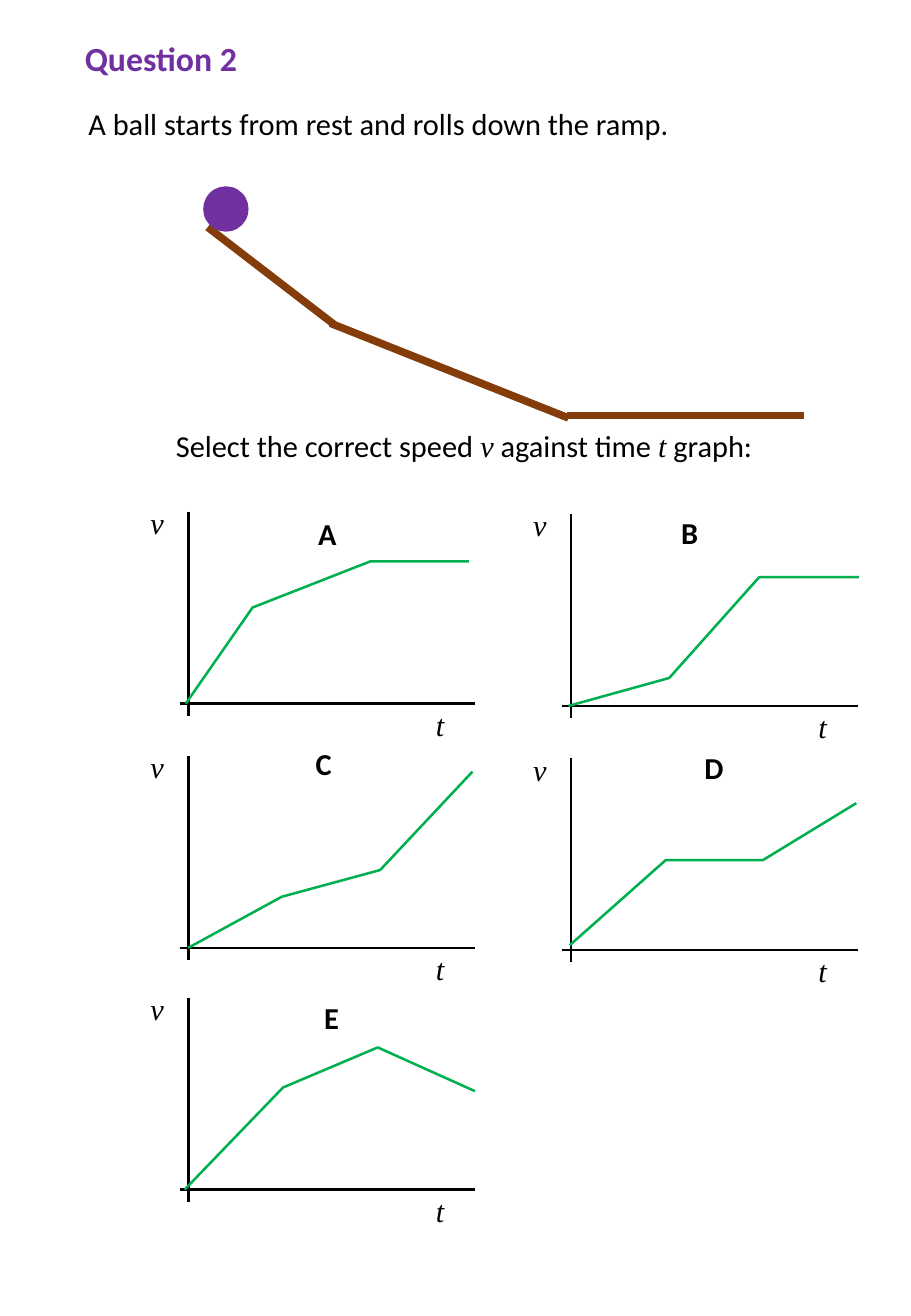
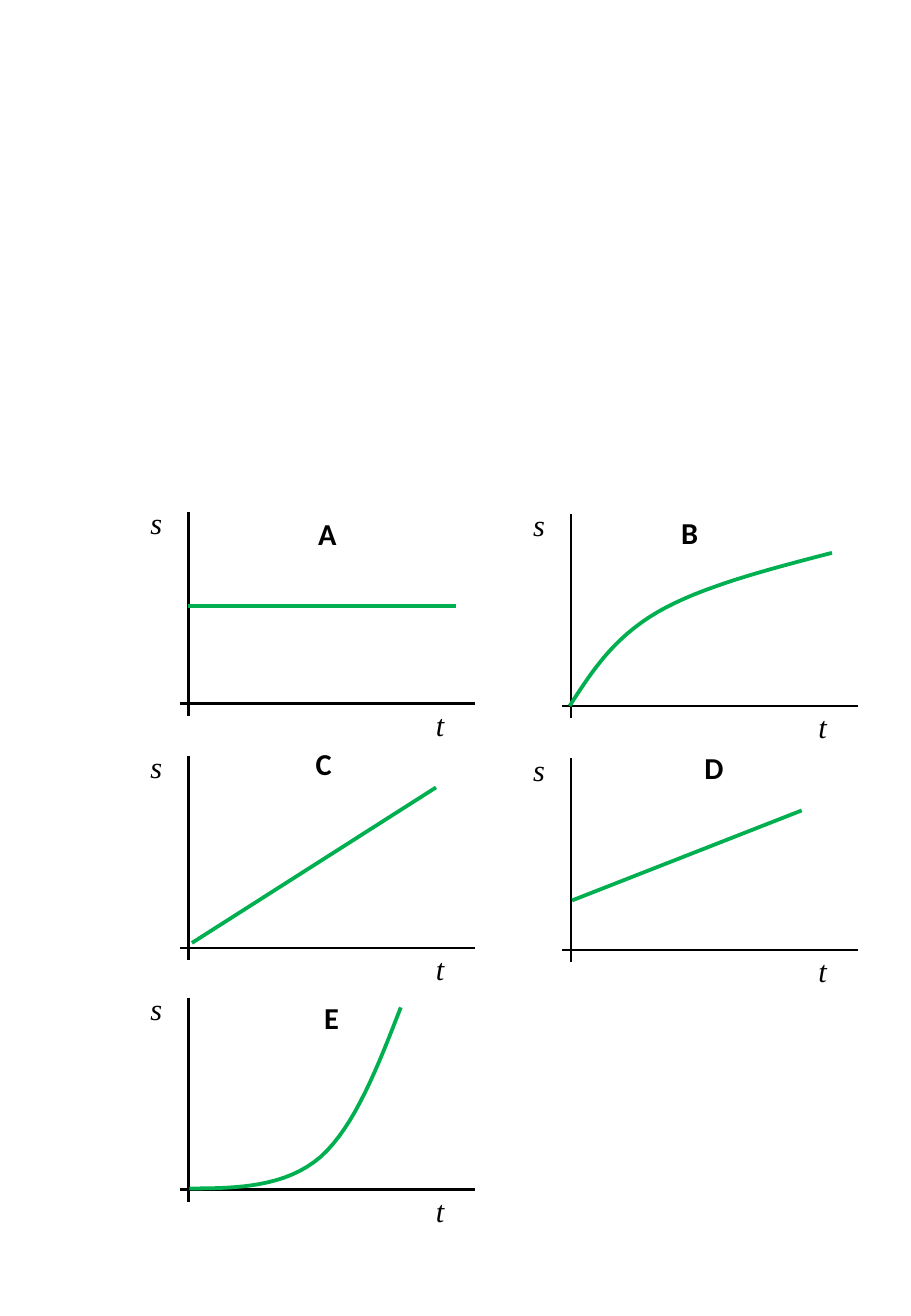
from pptx import Presentation
from pptx import util as u
from pptx.dml.color import RGBColor
from pptx.enum import shapes, text
from pptx.oxml.ns import qn

PX = 9144  # one hundredth of an inch
BLACK, PURPLE, BROWN, GREEN = "000000", "7030A0", "843C0B", "00B050"
SANS, SERIF = "Calibri", "Times New Roman"

# Axis origin of each graph, and its letter's offset from that origin
CELLS = {
    "A": ((155, 579), (97, -160)),
    "B": ((470, 581), (81, -163)),
    "C": ((155, 780), (95, -172)),
    "D": ((470, 782), (100, -170)),
    "E": ((155, 979), (102, -162)),
}
# Points are offsets from the axis origin
SPEED = {
    "A": [(-2, 0), (53, -79), (150, -117), (231, -117)],
    "B": [(-2, 0), (81, -23), (155, -106), (237, -106)],
    "C": [(0, 0), (77, -42), (158, -64), (234, -145)],
    "D": [(-1, -4), (78, -74), (158, -74), (235, -121)],
    "E": [(-3, 0), (78, -84), (156, -117), (236, -81)],
}


def bend(pts, steps=16):
    """Sample a chain of cubic Bezier curves."""
    out = [pts[0]]
    for i in range(0, len(pts) - 1, 3):
        for n in range(1, steps + 1):
            t = n / steps
            w = ((1 - t) ** 3, 3 * t * (1 - t) ** 2, 3 * t * t * (1 - t), t ** 3)
            out.append(tuple(sum(k * p[axis] for k, p in zip(w, pts[i:i + 4]))
                             for axis in (0, 1)))
    return out


PLACE = {
    "A": [(0, -80), (220, -80)],
    "B": bend([(-1, 0), (17, -28), (35, -56), (71, -77),
               (107, -98), (161, -112), (215, -126)]),
    "C": [(3, -4), (204, -132)],
    "D": [(1, -41), (190, -115)],
    "E": bend([(1, -1), (40, -1), (80, -2), (109, -27),
               (137, -52), (156, -101), (175, -150)]),
}


def rgb(code):
    return RGBColor.from_string(code)


def px(*vals):
    return [u.Emu(round(v * PX)) for v in vals]


def pen(shape, color, width):
    shape.line.color.rgb = rgb(color)
    shape.line.width = u.Pt(width)


def line(slide, start, end, color=BLACK, width=1.5):
    link = slide.shapes.add_connector(
        shapes.MSO_CONNECTOR.STRAIGHT, *px(*start, *end))
    pen(link, color, width)
    props = link._element.spPr
    props.append(props.makeelement(qn("a:effectLst"), {}))


def trace(slide, pts, color, width):
    """Draw a connector for two points, an open outline for more."""
    if len(pts) == 2:
        line(slide, *pts, color, width)
        return
    first, *rest = [px(*p) for p in pts]
    path = slide.shapes.build_freeform(*first)
    path.add_line_segments(rest, close=False)
    shape = path.convert_to_shape()
    shape.shadow.inherit = False
    shape.fill.background()
    pen(shape, color, width)


def write(slide, box, runs, size=18, color=BLACK, bold=False, wrap=False):
    """Add one line of text; serif runs are italic symbols."""
    frame = slide.shapes.add_textbox(*px(*box)).text_frame
    frame.word_wrap = wrap
    frame.auto_size = text.MSO_AUTO_SIZE.SHAPE_TO_FIT_TEXT
    for words, face in runs:
        run = frame.paragraphs[0].add_run()
        run.text = words
        font = run.font
        font.name, font.size, font.bold = face, u.Pt(size), bold
        font.italic = face == SERIF
        font.color.rgb = rgb(color)


def graph(slide, name, symbol, pts, width):
    (x, y), (dx, dy) = CELLS[name]
    line(slide, (x, y - 158), (x, y + 10))
    line(slide, (x - 7, y), (x + 236, y))
    write(slide, (x + 194, y - 3, 27, 40), [("t", SERIF)])
    write(slide, (x - 41, y - 169, 31, 40), [(symbol, SERIF)])
    trace(slide, [(x + a, y + b) for a, b in pts], GREEN, width)
    write(slide, (x + dx, y + dy, 35, 40), [(name, SANS)], bold=True)


def graphs(slide, symbol, curves, width):
    for name, pts in curves.items():
        graph(slide, name, symbol, pts, width)


def ramp(slide, x, y):
    """Draw the ramp and ball; x, y is the ball's top left corner."""
    for x1, y1, x2, y2 in ((107, 113, 3, 33), (104, 112, 300, 190),
                           (299, 188, 494, 188)):
        line(slide, (x + x1, y + y1), (x + x2, y + y2), BROWN, 4.5)
    ball = slide.shapes.add_shape(shapes.MSO_SHAPE.OVAL, *px(x, y, 36, 36))
    ball.shadow.inherit = False
    ball.fill.solid()
    ball.fill.fore_color.rgb = rgb(PURPLE)
    pen(ball, PURPLE, 1)


def task(slide):
    write(slide, (60, 26, 147, 44), [("Question 2", SANS)], 20, PURPLE, True)
    write(slide, (63, 82, 526, 40),
          [("A ball starts from rest and rolls down the ramp.", SANS)], wrap=True)
    ramp(slide, 168, 154)
    write(slide, (135, 347, 508, 40),
          [("Select the correct speed ", SANS), ("v", SERIF),
           (" against time ", SANS), ("t", SERIF), (" graph:", SANS)])


def main():
    deck = Presentation()
    deck.slide_width, deck.slide_height = px(750, 1083)
    blank = deck.slide_layouts[6]
    first = deck.slides.add_slide(blank)
    task(first)
    graphs(first, "v", SPEED, 1.5)
    graphs(deck.slides.add_slide(blank), "s", PLACE, 2.25)
    deck.save("out.pptx")


if __name__ == "__main__":
    main()
